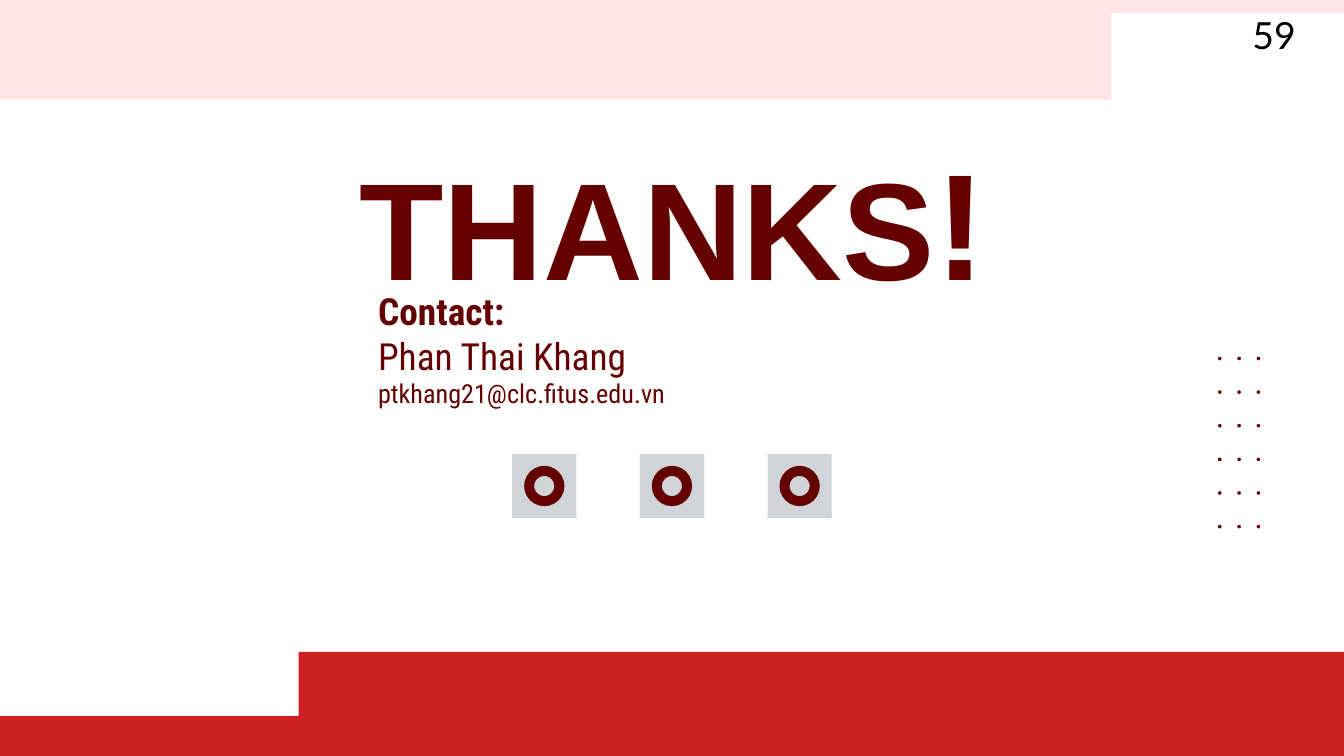
from pptx import Presentation
from pptx.dml.color import RGBColor
from pptx.enum.shapes import MSO_SHAPE
from pptx.enum.text import MSO_ANCHOR, MSO_AUTO_SIZE, PP_ALIGN
from pptx.util import Pt

RECTANGLE, OVAL, DONUT = MSO_SHAPE.RECTANGLE, MSO_SHAPE.OVAL, MSO_SHAPE.DONUT
TOP, MIDDLE = MSO_ANCHOR.TOP, MSO_ANCHOR.MIDDLE
LEFT, CENTER, RIGHT = PP_ALIGN.LEFT, PP_ALIGN.CENTER, PP_ALIGN.RIGHT
NO_AUTOFIT = MSO_AUTO_SIZE.NONE

MAROON = RGBColor(0x64, 0x00, 0x00)
RED = RGBColor(0xCD, 0x21, 0x21)
PINK = RGBColor(0xFF, 0xE5, 0xE5)
GRAY = RGBColor(0xCE, 0xD4, 0xD7)
BLACK = RGBColor(0x00, 0x00, 0x00)

SLIDE_WIDTH, SLIDE_HEIGHT = 720, 405


def paint(shape, color):
    shape.shadow.inherit = False
    shape.fill.solid()
    shape.fill.fore_color.rgb = color
    shape.line.fill.background()


def add_preset(slide, preset, box, color):
    shape = slide.shapes.add_shape(preset, *map(Pt, box))
    paint(shape, color)


def add_band(slide, points, color):
    """Draw a stepped band through points given in slide coordinates."""
    start, *others = [(Pt(x), Pt(y)) for x, y in points]
    builder = slide.shapes.build_freeform(*start)
    builder.add_line_segments(others, close=True)
    paint(builder.convert_to_shape(), color)


def fill_text(shape, box, paragraphs, alignment, anchor):
    """Place a text shape; each paragraph is a list of (text, font format) runs."""
    shape.left, shape.top, shape.width, shape.height = map(Pt, box)
    frame = shape.text_frame
    frame_format = {
        "word_wrap": True, "auto_size": NO_AUTOFIT, "vertical_anchor": anchor,
        "margin_left": Pt(7.2), "margin_right": Pt(7.2),
        "margin_top": Pt(7.2), "margin_bottom": Pt(7.2),
    }
    for name, value in frame_format.items():
        setattr(frame, name, value)
    for index, runs in enumerate(paragraphs):
        paragraph = frame.add_paragraph() if index else frame.paragraphs[0]
        paragraph.alignment = alignment
        paragraph.line_spacing = 1.0
        paragraph.space_before = Pt(0)
        for text, (font_name, size, bold, color) in runs:
            run = paragraph.add_run()
            run.text = text
            font_format = {"name": font_name, "size": Pt(size), "bold": bold}
            for name, value in font_format.items():
                setattr(run.font, name, value)
            run.font.color.rgb = color


def add_bands(slide, box):
    left, top, width, height = box
    right, bottom = left + width, top + height
    add_band(slide, [(left, bottom), (left, bottom - 21.3), (left + 160, bottom - 21.3),
                     (left + 160, bottom - 55.8), (right, bottom - 55.8),
                     (right, bottom)], RED)
    add_band(slide, [(left, top), (right, top), (right, top + 7),
                     (left + 595.4, top + 7), (left + 595.4, top + 53.4),
                     (left, top + 53.4)], PINK)


def add_title(slide, box):
    runs = [("THANKS", ("Arial", 74, True, MAROON)), ("!", ("Arial", 81, True, MAROON))]
    fill_text(slide.shapes.title, box, [runs], CENTER, TOP)


def add_contact(slide, box):
    lines = [("Contact:", 20, True), ("Phan Thai Khang", 20, False),
             ("ptkhang21@clc.fitus.edu.vn", 14, False)]
    paragraphs = [[(text, ("Roboto Condensed", size, bold, MAROON))]
                  for text, size, bold in lines]
    fill_text(slide.placeholders[1], box, paragraphs, LEFT, MIDDLE)


def add_social_tiles(slide, box, count=3, icon_size=21.6):
    left, top, width, tile = box
    step = (width - tile) / (count - 1)
    inset = (tile - icon_size) / 2
    for index in range(count):
        x = left + index * step
        add_preset(slide, RECTANGLE, (x, top, tile, tile), GRAY)
        add_preset(slide, DONUT, (x + inset, top + inset, icon_size, icon_size), MAROON)


def add_dot_grid(slide, box, columns=3, rows=6, dot=1.9):
    left, top, width, height = box
    column_step = (width - dot) / (columns - 1)
    row_step = (height - dot) / (rows - 1)
    for column in range(columns):
        for row in range(rows):
            add_preset(slide, OVAL, (left + column * column_step,
                                     top + row * row_step, dot, dot), MAROON)


def add_page_number(slide, box):
    text_box = slide.shapes.add_textbox(*map(Pt, box))
    fill_text(text_box, box, [[("59", ("Lato", 20, False, BLACK))]], RIGHT, MIDDLE)


def main():
    presentation = Presentation()
    presentation.slide_width = Pt(SLIDE_WIDTH)
    presentation.slide_height = Pt(SLIDE_HEIGHT)
    slide = presentation.slides.add_slide(presentation.slide_layouts[0])
    add_bands(slide, (0, 0, SLIDE_WIDTH, SLIDE_HEIGHT))
    add_title(slide, (157.5, 62, 405.5, 83.5))
    add_contact(slide, (195.3, 145, 350, 83.5))
    add_social_tiles(slide, (274.4, 243.2, 171.2, 34.4))
    add_dot_grid(slide, (652.5, 191.1, 22.6, 92))
    add_page_number(slide, (539.3, 7.6, 162, 21.6))
    presentation.save("out.pptx")


if __name__ == "__main__":
    main()
